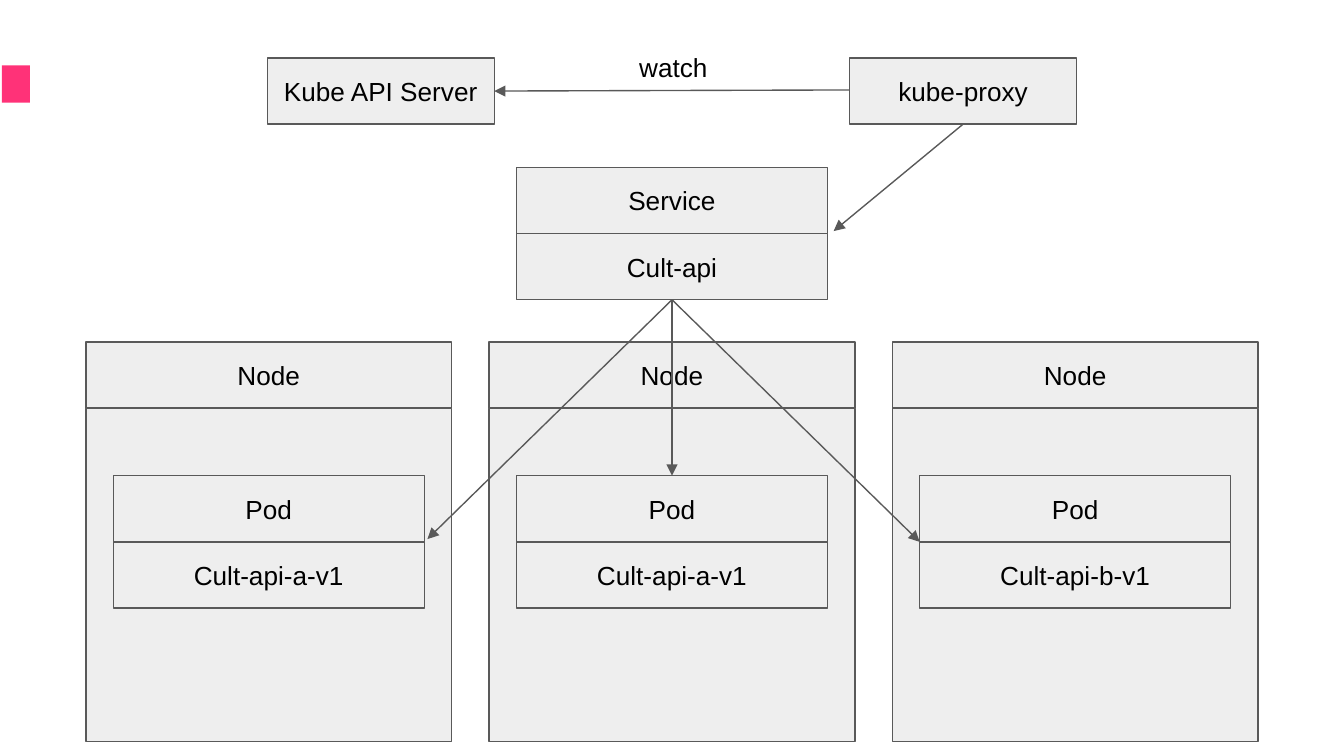
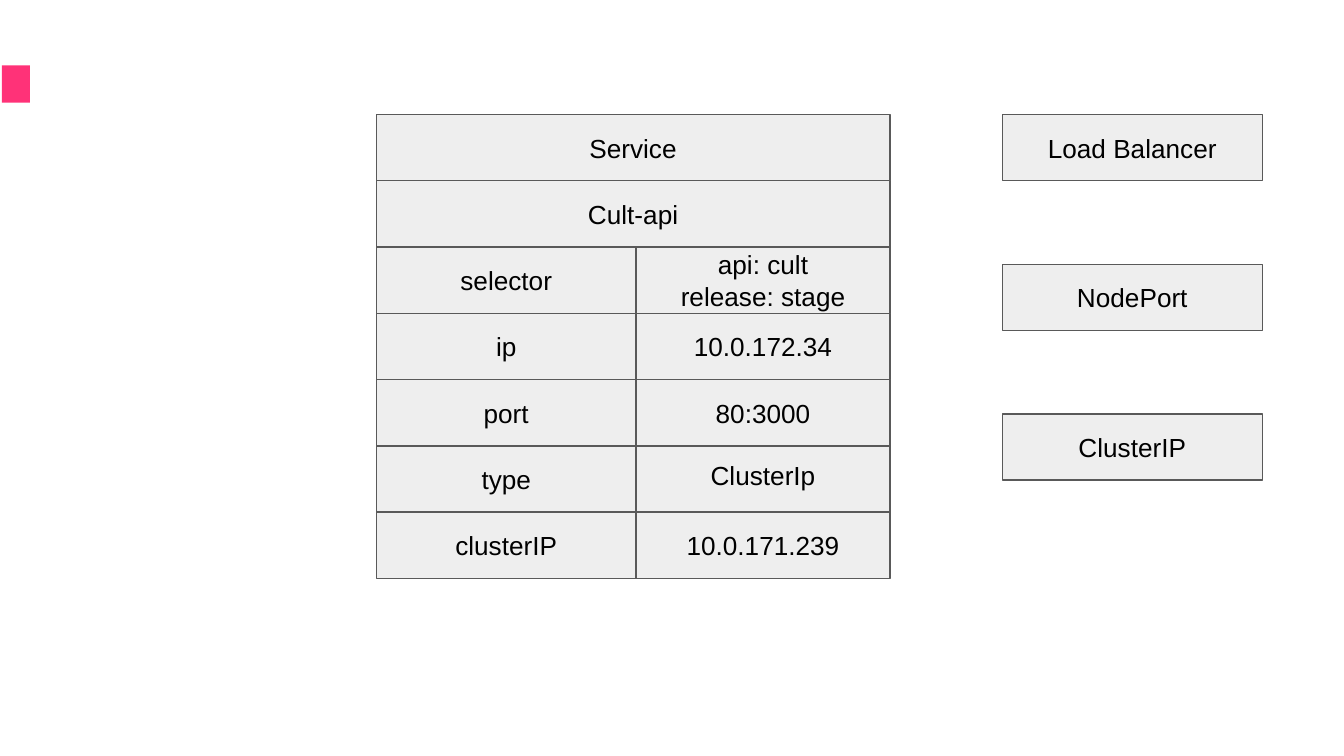
from dataclasses import dataclass

from lxml import etree
from pptx import Presentation
from pptx.dml.color import RGBColor
from pptx.enum import shapes, text
from pptx.oxml.ns import qn
from pptx.slide import Slide
from pptx.text.text import TextFrame
from pptx.util import Pt

COLORS = {"accent": "FF3278", "box": "EEEEEE", "line": "595959", "text": "000000"}
FONT = "Arial"
INSET = 7.2
ROW_H = 35.5
BLANK_LAYOUT = 6
MIDDLE, TOP = text.MSO_ANCHOR.MIDDLE, text.MSO_ANCHOR.TOP
CENTER, LEFT = text.PP_ALIGN.CENTER, text.PP_ALIGN.LEFT


@dataclass(frozen=True)
class Box:
    x: float
    y: float
    w: float
    h: float = ROW_H
    label: str = ""
    fill: str = "box"
    line: str | None = "line"
    anchor: text.MSO_ANCHOR = MIDDLE


@dataclass(frozen=True)
class Arrow:
    x1: float
    y1: float
    x2: float
    y2: float


def color(name: str) -> RGBColor:
    return RGBColor.from_string(COLORS[name])


def write(tf: TextFrame, label: str, *, size: float = 14, ink: str = "text",
          align: text.PP_ALIGN = CENTER, anchor: text.MSO_ANCHOR = MIDDLE,
          left: float = INSET) -> None:
    """Fill a text frame, one paragraph per line of the label."""
    tf.word_wrap = True
    tf.vertical_anchor = anchor
    tf.margin_left = Pt(left)
    tf.margin_top = tf.margin_right = tf.margin_bottom = Pt(INSET)
    tf.text = label
    for p in tf.paragraphs:
        p.alignment = align
        for r in p.runs:
            r.font.name = FONT
            r.font.size = Pt(size)
            r.font.color.rgb = color(ink)


def draw_box(s: Slide, box: Box) -> None:
    sp = s.shapes.add_shape(shapes.MSO_SHAPE.RECTANGLE,
                            Pt(box.x), Pt(box.y), Pt(box.w), Pt(box.h))
    sp.shadow.inherit = False
    sp.fill.solid()
    sp.fill.fore_color.rgb = color(box.fill)
    if box.line:
        sp.line.color.rgb = color(box.line)
        sp.line.width = Pt(0.75)
    else:
        sp.line.fill.background()
    if box.label:
        write(sp.text_frame, box.label, anchor=box.anchor)


def draw_arrow(s: Slide, arrow: Arrow) -> None:
    cxn = s.shapes.add_connector(shapes.MSO_CONNECTOR.STRAIGHT, Pt(arrow.x1),
                                 Pt(arrow.y1), Pt(arrow.x2), Pt(arrow.y2))
    cxn.line.color.rgb = color("line")
    cxn.line.width = Pt(0.75)
    sp_pr = cxn.element.spPr
    etree.SubElement(sp_pr.find(qn("a:ln")), qn("a:tailEnd"), type="triangle")
    etree.SubElement(sp_pr, qn("a:effectLst"))


def draw_stack(s: Slide, center: float, y: float, w: float, *labels: str) -> None:
    """Draw touching rows, one per label, centred on a vertical axis."""
    for i, label in enumerate(labels):
        draw_box(s, Box(center - w / 2, y + i * ROW_H, w, label=label))


def add_slide(prs: Presentation) -> Slide:
    s = prs.slides.add_slide(prs.slide_layouts[BLANK_LAYOUT])
    draw_box(s, Box(1, 35, 15, 20, fill="accent", line=None))
    return s


def build_routing(prs: Presentation) -> None:
    s = add_slide(prs)
    mid, pitch = 360, 216
    top_y, service_y, node_y, pod_y = 31, 89.6, 183.2, 254.8
    node_w, stack_w, top_w = 196, 166.6, 121.6
    server_x, proxy_x = 143.2, 455.2

    draw_box(s, Box(server_x, top_y, top_w, label="Kube API Server"))
    draw_box(s, Box(proxy_x, top_y, top_w, label="kube-proxy"))

    pods = ("Cult-api-a-v1", "Cult-api-a-v1", "Cult-api-b-v1")
    for i, pod in enumerate(pods):
        center = mid + (i - 1) * pitch
        draw_stack(s, center, node_y, node_w, "Node")
        draw_box(s, Box(center - node_w / 2, node_y + ROW_H, node_w, 178.6))
        draw_stack(s, center, pod_y, stack_w, "Pod", pod)
    draw_stack(s, mid, service_y, stack_w, "Service", "Cult-api")

    service_bottom = service_y + 2 * ROW_H
    for arrow in (
        Arrow(proxy_x, 48.2, server_x + top_w, 48.8),
        Arrow(proxy_x + top_w / 2, top_y + ROW_H, 446.6, 123.8),
        Arrow(mid, service_bottom, 229, 288.8),
        Arrow(mid, service_bottom, mid, pod_y),
        Arrow(mid, service_bottom, mid + pitch - stack_w / 2, pod_y + ROW_H),
    ):
        draw_arrow(s, arrow)

    watch = s.shapes.add_textbox(Pt(283.6), Pt(20.2), Pt(139.6), Pt(20.2))
    write(watch.text_frame, "watch", align=LEFT, anchor=TOP, left=58.8)


def build_service(prs: Presentation) -> None:
    s = add_slide(prs)
    x, y, key_w, value_w = 201.6, 61.4, 139.2, 136
    table_w = key_w + value_w
    draw_stack(s, x + table_w / 2, y, table_w, "Service", "Cult-api")

    fields = (
        ("selector", "api: cult\nrelease: stage", MIDDLE),
        ("ip", "10.0.172.34", MIDDLE),
        ("port", "80:3000", MIDDLE),
        ("type", "ClusterIp", TOP),
        ("clusterIP", "10.0.171.239", MIDDLE),
    )
    for i, (key, value, anchor) in enumerate(fields, start=2):
        row_y = y + i * ROW_H
        draw_box(s, Box(x, row_y, key_w, label=key))
        draw_box(s, Box(x + key_w, row_y, value_w, label=value, anchor=anchor))

    for i, kind in enumerate(("Load Balancer", "NodePort", "ClusterIP")):
        draw_box(s, Box(537, y + i * 80.2, key_w, label=kind))


def main() -> None:
    prs = Presentation()
    prs.slide_width, prs.slide_height = Pt(720), Pt(405)
    build_routing(prs)
    build_service(prs)
    prs.save("out.pptx")


if __name__ == "__main__":
    main()
